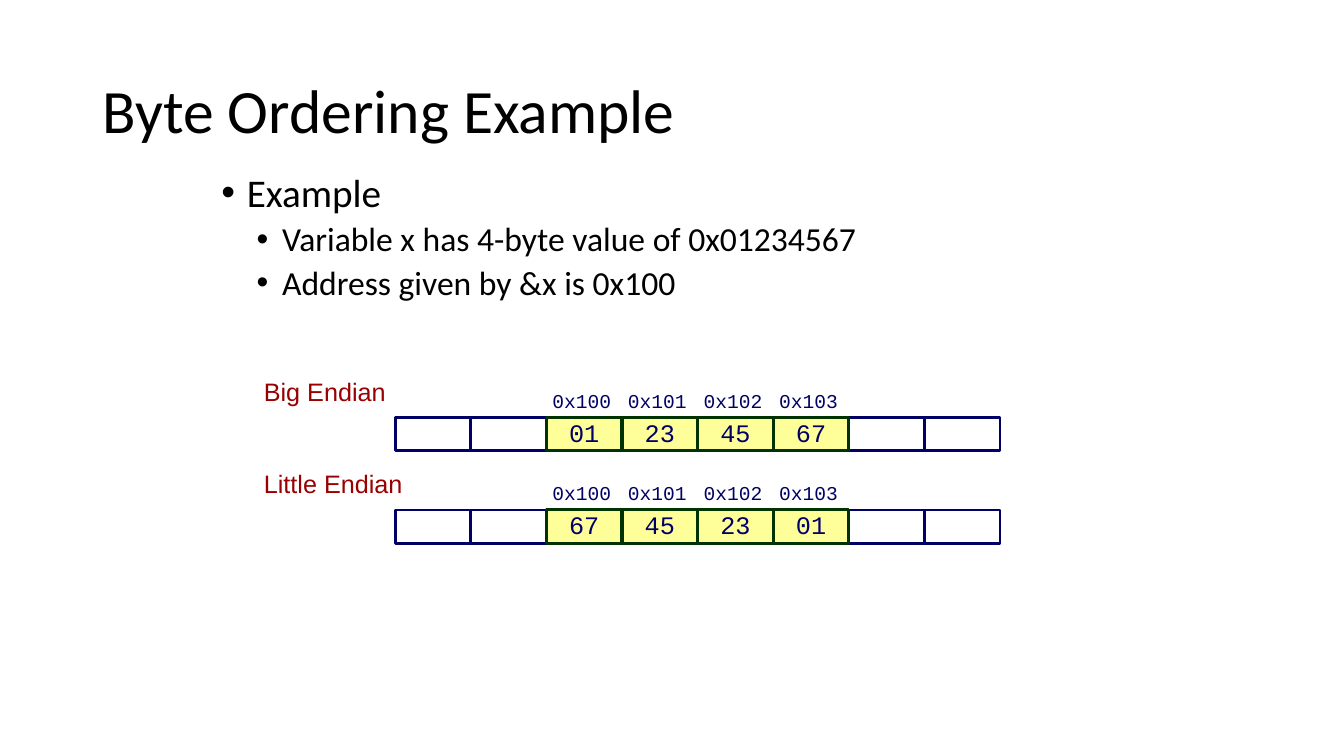
import pptx
import pptx.dml.color
import pptx.enum.shapes
import pptx.enum.text
import pptx.oxml.ns
import pptx.util
from lxml import etree
from pptx.util import Cm

ALIGN = pptx.enum.text.PP_ALIGN
ANCHOR = pptx.enum.text.MSO_ANCHOR

ROW_LEFT, ROW_RIGHT = 9.96, 25.2
CELLS, FIRST_BYTE = 8, 2
CELL_W, CELL_H = (ROW_RIGHT - ROW_LEFT) / CELLS, 0.84
ADDRESSES = ["0x100", "0x101", "0x102", "0x103"]
ROWS = [
    ("Big Endian", 10.52, ["01", "23", "45", "67"]),
    ("Little Endian", 12.85, ["67", "45", "23", "01"]),
]

TITLE = {"name": "Calibri", "size": 44, "color": "000000"}
TOPIC = {"name": "Calibri", "size": 28, "color": "000000"}
DETAIL = {"name": "Calibri", "size": 24, "color": "000000"}
LABEL = {"name": "Arial", "size": 18, "color": "980002"}
ADDRESS = {"name": "Courier New", "size": 14, "color": "000066"}
BYTE = {"name": "Courier New", "size": 18, "color": "000066"}

BLANK_CELL = {"fill": "FFFFFF", "line": "000066", "width": 2}
BYTE_CELL = {"fill": "FFFF99", "line": "003300", "width": 2.25}


def rgb(value):
    return pptx.dml.color.RGBColor.from_string(value)


def set_attrs(obj, values):
    for name, value in values.items():
        setattr(obj, name, value)


def place(sp, left, top, width, height):
    set_attrs(sp, {"left": Cm(left), "top": Cm(top),
                   "width": Cm(width), "height": Cm(height)})


def set_frame(tf, margins, anchor, wrap=True):
    sides = ("margin_left", "margin_top", "margin_right", "margin_bottom")
    set_attrs(tf, {side: Cm(m) for side, m in zip(sides, margins)})
    set_attrs(tf, {"vertical_anchor": anchor, "word_wrap": wrap,
                   "auto_size": pptx.enum.text.MSO_AUTO_SIZE.NONE})


def write(p, text, style, **paragraph):
    set_attrs(p, paragraph)
    r = p.add_run()
    r.text = text
    set_attrs(r.font, {"name": style["name"], "size": pptx.util.Pt(style["size"])})
    r.font.color.rgb = rgb(style["color"])


def set_bullet(p, left):
    pPr = p._p.get_or_add_pPr()
    pPr.set("marL", str(Cm(left)))
    pPr.set("indent", str(-Cm(0.64)))
    for tag, name, value in (("a:buFont", "typeface", "Arial"),
                             ("a:buChar", "char", "•")):
        etree.SubElement(pPr, pptx.oxml.ns.qn(tag)).set(name, value)


def add_title(slide, text):
    sp = slide.shapes.title
    place(sp, 2.33, 1.02, 29.21, 3.68)
    set_frame(sp.text_frame, (0.25, 0.13, 0.25, 0.13), ANCHOR.MIDDLE)
    write(sp.text_frame.paragraphs[0], text, TITLE,
          alignment=ALIGN.LEFT, line_spacing=0.9)


def add_list(slide, topic, details):
    sp = slide.placeholders[1]
    place(sp, 5.33, 4.24, 21.95, 13.36)
    tf = sp.text_frame
    set_frame(tf, (0.25, 0.13, 0.25, 0.13), ANCHOR.TOP)
    p = tf.paragraphs[0]
    set_bullet(p, 0.64)
    write(p, topic, TOPIC, line_spacing=0.9, space_before=pptx.util.Pt(0))
    for detail in details:
        p = tf.add_paragraph()
        set_bullet(p, 1.53)
        write(p, detail, DETAIL, level=1, line_spacing=0.9,
              space_before=pptx.util.Pt(5))


def add_text(slide, box, text, style, margins, anchor, wrap, spacing):
    sp = slide.shapes.add_textbox(*map(Cm, box))
    set_frame(sp.text_frame, margins, anchor, wrap)
    write(sp.text_frame.paragraphs[0], text, style, line_spacing=spacing)


def add_cell(slide, column, top, look, text=""):
    sp = slide.shapes.add_shape(
        pptx.enum.shapes.MSO_SHAPE.RECTANGLE,
        Cm(ROW_LEFT + column * CELL_W), Cm(top), Cm(CELL_W), Cm(CELL_H))
    sp.shadow.inherit = False
    sp.fill.solid()
    sp.fill.fore_color.rgb = rgb(look["fill"])
    sp.line.color.rgb = rgb(look["line"])
    sp.line.width = pptx.util.Pt(look["width"])
    if text:
        set_frame(sp.text_frame, (0, 0, 0, 0), ANCHOR.MIDDLE)
        write(sp.text_frame.paragraphs[0], text, BYTE,
              alignment=ALIGN.CENTER, line_spacing=0.9)


def add_memory_row(slide, label, top, values):
    add_text(slide, (6.55, top - 1.07, 4.98, 0.91), label, LABEL,
             (0.1, 0.08, 0.18, 0.08), ANCHOR.TOP, True, 0.95)
    byte_columns = range(FIRST_BYTE, FIRST_BYTE + len(values))
    for column in range(CELLS):
        if column not in byte_columns:
            add_cell(slide, column, top, BLANK_CELL)
    for column, address, value in zip(byte_columns, ADDRESSES, values):
        box = (ROW_LEFT + column * CELL_W, top - 0.87, 1.89, 0.89)
        add_text(slide, box, address, ADDRESS,
                 (0.15, 0.15, 0.25, 0.15), ANCHOR.MIDDLE, False, 1.0)
        add_cell(slide, column, top, BYTE_CELL, value)


def main():
    prs = pptx.Presentation()
    set_attrs(prs, {"slide_width": Cm(33.87), "slide_height": Cm(19.05)})
    slide = prs.slides.add_slide(prs.slide_layouts[1])
    add_title(slide, "Byte Ordering Example")
    add_list(slide, "Example", ["Variable x has 4-byte value of 0x01234567",
                                "Address given by &x is 0x100"])
    for label, top, values in ROWS:
        add_memory_row(slide, label, top, values)
    prs.save("out.pptx")


if __name__ == "__main__":
    main()
